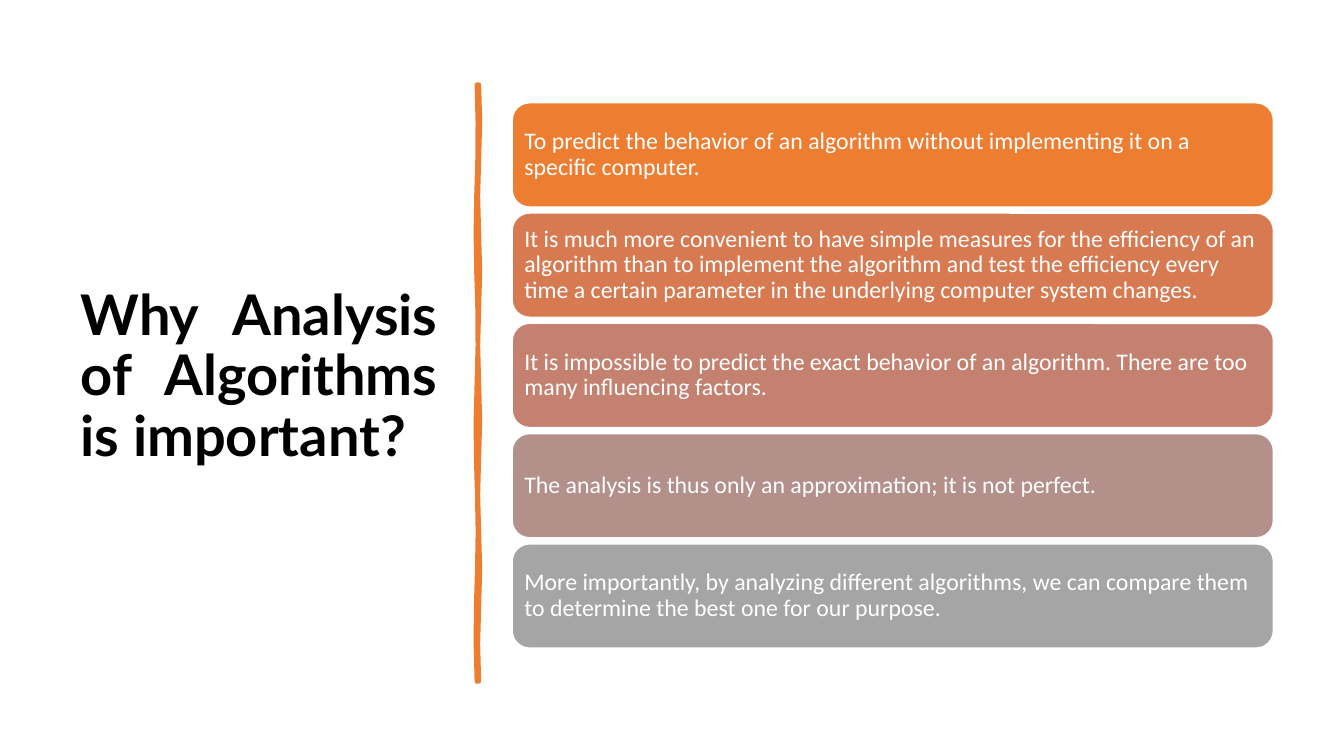
from math import pi, sin

from pptx import Presentation
from pptx.dml.color import RGBColor
from pptx.enum.shapes import MSO_SHAPE as SHAPE
from pptx.enum.text import MSO_ANCHOR as ANCHOR, MSO_AUTO_SIZE as AUTO, PP_ALIGN as ALIGN
from pptx.util import Inches, Pt

REASONS = [
    ("ED7D31", "To predict the behavior of an algorithm without implementing it on a specific computer."),
    ("D87A51", "It is much more convenient to have simple measures for the efficiency of an algorithm "
               "than to implement the algorithm and test the efficiency every time a certain "
               "parameter in the underlying computer system changes."),
    ("C48170", "It is impossible to predict the exact behavior of an algorithm. "
               "There are too many influencing factors."),
    ("B4908B", "The analysis is thus only an approximation; it is not perfect."),
    ("A5A5A5", "More importantly, by analyzing different algorithms, we can compare them "
               "to determine the best one for our purpose."),
]


def rgb(value):
    """Turn a hex string into a colour."""
    return RGBColor.from_string(value)


def paint(sp, fill, line, width):
    """Give a shape a flat fill and outline without shadow."""
    sp.shadow.inherit = False
    sp.fill.solid()
    sp.fill.fore_color.rgb = rgb(fill)
    sp.line.color.rgb = rgb(line)
    sp.line.width = Pt(width)


def write(tf, text, font, size, color, align, bold=False):
    """Write one paragraph, vertically centred, into a text frame."""
    tf.word_wrap = True
    tf.auto_size = AUTO.NONE
    tf.vertical_anchor = ANCHOR.MIDDLE
    p = tf.paragraphs[0]
    p.alignment = align
    p.line_spacing = 0.9
    r = p.add_run()
    r.text = text
    r.font.name = font
    r.font.size = Pt(size)
    r.font.bold = bold
    r.font.color.rgb = rgb(color)


def add_title(s, x, y, w, h):
    """Place the slide title in its box."""
    sp = s.shapes.title
    sp.left, sp.top, sp.width, sp.height = map(Inches, (x, y, w, h))
    write(sp.text_frame, "Why Analysis of Algorithms is important?",
          "Lato", 40, "000000", ALIGN.JUSTIFY, True)


def add_divider(s, x, y, w, h, steps=16):
    """Draw a slightly wavy vertical stroke."""
    ts = [i / steps for i in range(steps + 1)]
    right = [(x + w + 0.01 * sin(8 * pi * t), y + h * t) for t in ts]
    left = [(x + 0.01 * sin(6 * pi * t), y + h * t) for t in reversed(ts)]
    points = [(Inches(px), Inches(py)) for px, py in right + left]
    builder = s.shapes.build_freeform(*points[0])
    builder.add_line_segments(points[1:], close=True)
    paint(builder.convert_to_shape(), "ED7D31", "ED7D31", 3.25)


def add_reasons(s, x, y, w, h, gap=0.06):
    """Stack the reasons as equal rounded bars."""
    bar = (h - gap * (len(REASONS) - 1)) / len(REASONS)
    for i, (color, text) in enumerate(REASONS):
        sp = s.shapes.add_shape(SHAPE.ROUNDED_RECTANGLE, Inches(x), Inches(y + i * (bar + gap)),
                                Inches(w), Inches(bar))
        paint(sp, color, "FFFFFF", 1)
        tf = sp.text_frame
        tf.margin_left = tf.margin_right = tf.margin_top = tf.margin_bottom = Inches(0.07)
        write(tf, text, "Calibri", 17, "FFFFFF", ALIGN.LEFT)


def main():
    """Build and save the slide."""
    prs = Presentation()
    prs.slide_width, prs.slide_height = Inches(13.33), Inches(7.5)
    s = prs.slides.add_slide(prs.slide_layouts[5])
    add_title(s, 0.7, 0.69, 3.74, 6.11)
    add_divider(s, 4.73, 0.84, 0.02, 5.92)
    add_reasons(s, 5.08, 1.02, 7.55, 5.41)
    prs.save("out.pptx")


if __name__ == "__main__":
    main()
